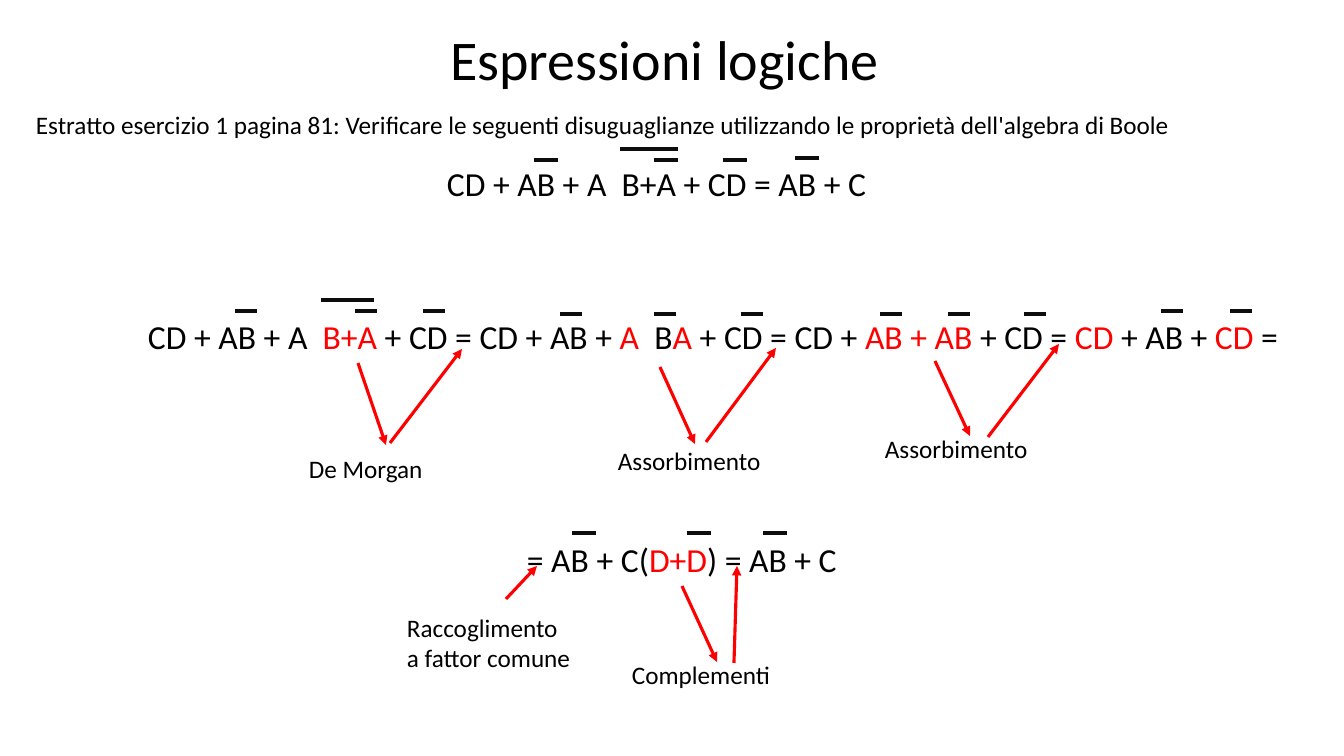
from dataclasses import dataclass

from lxml import etree
from pptx import Presentation
from pptx.dml.color import RGBColor
from pptx.enum.shapes import MSO_CONNECTOR
from pptx.enum.text import MSO_ANCHOR, MSO_AUTO_SIZE, PP_ALIGN
from pptx.oxml.ns import qn
from pptx.util import Pt

STRAIGHT = MSO_CONNECTOR.STRAIGHT
MIDDLE = MSO_ANCHOR.MIDDLE
LEFT = PP_ALIGN.LEFT
NO_AUTOSIZE = MSO_AUTO_SIZE.NONE
EMU_PER_PX = 914400 / 100.8
SLIDE_SIZE = (1344, 756)


@dataclass(frozen=True)
class Theme:
    font: str = "Calibri"
    text: RGBColor = RGBColor(0, 0, 0)
    bar: RGBColor = RGBColor(0x0D, 0x0D, 0x0D)
    accent: RGBColor = RGBColor(0xFF, 0, 0)
    title_size: int = 40
    formula_size: int = 24
    note_size: int = 18
    line_width: float = 2.25


THEME = Theme()

TITLE = ("Espressioni logiche", (440, 27, 464, 70))

# Text and box: left, top, width, height
NOTES = [
    ("Estratto esercizio 1 pagina 81: Verificare le seguenti disuguaglianze "
     "utilizzando le proprietà dell'algebra di Boole", (26, 104, 1289, 40)),
    ("De Morgan", (299, 448, 157, 40)),
    ("Assorbimento", (608, 440, 167, 40)),
    ("Assorbimento", (875, 428, 167, 40)),
    ("Raccoglimento a fattor comune", (397, 607, 186, 72)),
    ("Complementi", (622, 654, 167, 40)),
]

# Pieces alternate between plain and highlighted, starting with plain
FORMULAS = [
    (["CD + AB + A  B+A + CD = AB + C"], (437, 158, 508, 50)),
    (["CD + AB + A  ", "B+A", " + CD = CD + AB + ", "A  ", "B", "A",
      " + CD = CD + ", "AB + AB ", "+ CD = ", "CD", " + AB + ", "CD", " ="],
     (138, 311, 1171, 50)),
    (["= AB + C(", "D+D", ") = AB + C"], (517, 534, 348, 50)),
]

# Negation bars: top, width, left ends
NEGATIONS = [
    (160, 24, [534, 654, 723]),
    (158, 24, [795]),
    (149, 58, [620]),
    (311, 22, [235, 355, 423, 1161, 1230]),
    (300, 53, [321]),
    (314, 22, [560, 654, 741, 880, 948, 1024]),
    (533, 24, [572, 687, 763]),
]

# Arrows: start and end points
ARROWS = [
    ((358, 363), (386, 445)), ((390, 443), (462, 349)),
    ((660, 367), (695, 444)), ((706, 442), (776, 348)),
    ((935, 361), (970, 436)), ((988, 437), (1059, 344)),
    ((506, 599), (537, 566)),
    ((682, 586), (717, 662)), ((734, 663), (737, 566)),
]


def emu(values):
    return [round(value * EMU_PER_PX) for value in values]


def format_run(run, size, color):
    run.font.name = THEME.font
    run.font.size = Pt(size)
    run.font.color.rgb = color


def add_title(slide):
    text, box = TITLE
    title = slide.shapes.title
    title.left, title.top, title.width, title.height = emu(box)
    frame = title.text_frame
    frame.text = text
    frame.auto_size = NO_AUTOSIZE
    frame.vertical_anchor = MIDDLE
    paragraph = frame.paragraphs[0]
    paragraph.alignment = LEFT
    paragraph.line_spacing = 0.9
    format_run(paragraph.runs[0], THEME.title_size, THEME.text)


def add_text(slide, pieces, box, size):
    """Add a text box whose every second piece is highlighted."""
    frame = slide.shapes.add_textbox(*emu(box)).text_frame
    frame.word_wrap = True
    for index, piece in enumerate(pieces):
        run = frame.paragraphs[0].add_run()
        run.text = piece
        format_run(run, size, THEME.accent if index % 2 else THEME.text)


def add_line(slide, start, end, color):
    line = slide.shapes.add_connector(STRAIGHT, *emu(start + end))
    line.line.color.rgb = color
    line.line.width = Pt(THEME.line_width)
    etree.SubElement(line._element.spPr, qn("a:effectLst"))
    return line


def add_arrow(slide, start, end):
    arrow = add_line(slide, start, end, THEME.accent)
    etree.SubElement(arrow.line._get_or_add_ln(), qn("a:tailEnd"), type="triangle")


def main():
    presentation = Presentation()
    presentation.slide_width, presentation.slide_height = emu(SLIDE_SIZE)
    slide = presentation.slides.add_slide(presentation.slide_layouts[5])
    add_title(slide)
    for text, box in NOTES:
        add_text(slide, [text], box, THEME.note_size)
    for pieces, box in FORMULAS:
        add_text(slide, pieces, box, THEME.formula_size)
    for top, width, lefts in NEGATIONS:
        for left in lefts:
            add_line(slide, (left, top), (left + width, top), THEME.bar)
    for start, end in ARROWS:
        add_arrow(slide, start, end)
    presentation.save("out.pptx")


if __name__ == "__main__":
    main()
